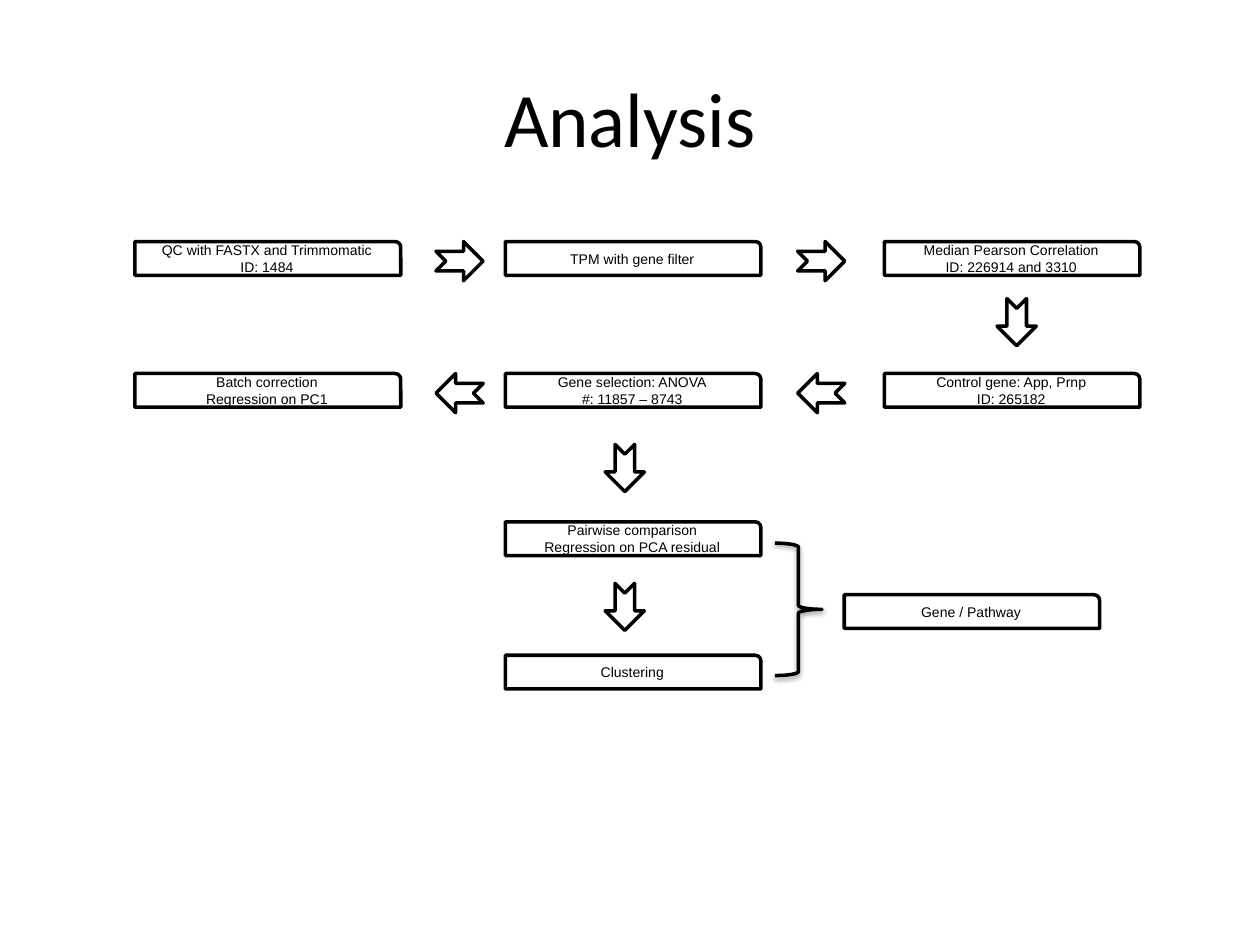
from dataclasses import dataclass

from lxml import etree
from pptx import Presentation
from pptx.dml.color import RGBColor
from pptx.enum.shapes import MSO_SHAPE
from pptx.enum.text import MSO_ANCHOR, PP_ALIGN
from pptx.oxml.ns import qn
from pptx.util import Cm, Pt

BOX = MSO_SHAPE.ROUND_1_RECTANGLE
ARROW = MSO_SHAPE.NOTCHED_RIGHT_ARROW
BRACE = MSO_SHAPE.RIGHT_BRACE
CENTER = PP_ALIGN.CENTER
MIDDLE = MSO_ANCHOR.MIDDLE

COLORS = {"ink": "000000", "paper": "FFFFFF"}

# Grid in centimetres: left edges of columns, top edges of rows
COLS = (2.72, 10.19, 17.83)
ROWS = (4.87, 7.53, 10.52, 13.21)
GAPS = (8.79, 16.08)
WIDE, SLIM, HIGH = 5.36, 5.15, 0.68
LONG, THICK = 0.95, 0.79
RIGHT, DOWN, LEFT = 0, 90, 180


@dataclass
class Step:
    text: str
    x: float
    y: float
    w: float = SLIM


@dataclass
class Arrow:
    x: float
    y: float
    turn: int


STEPS = [
    Step("QC with FASTX and Trimmomatic\nID: 1484", COLS[0], ROWS[0], WIDE),
    Step("TPM with gene filter", COLS[1], ROWS[0]),
    Step("Median Pearson Correlation\nID: 226914 and 3310", COLS[2], ROWS[0]),
    Step("Control gene: App, Prnp\nID: 265182", COLS[2], ROWS[1]),
    Step("Gene selection: ANOVA\n#: 11857 – 8743", COLS[1], ROWS[1]),
    Step("Batch correction\nRegression on PC1", COLS[0], ROWS[1], WIDE),
    Step("Pairwise comparison\nRegression on PCA residual", COLS[1], ROWS[2]),
    Step("Clustering", COLS[1], ROWS[3]),
    Step("Gene / Pathway", 17.02, 11.99),
]

ARROWS = [Arrow(x, ROWS[0], RIGHT) for x in GAPS]
ARROWS += [Arrow(x, ROWS[1], LEFT) for x in GAPS]
ARROWS += [Arrow(x, y, DOWN) for x, y in ((20.02, 6.1), (12.12, 9.04), (12.12, 11.84))]


def color(name: str) -> RGBColor:
    return RGBColor.from_string(COLORS[name])


def write(shape, text: str, *, size: float, font: str, ink: str = "ink") -> None:
    """Fill a shape with centred text, one paragraph per line."""
    frame = shape.text_frame
    frame.word_wrap = True
    frame.vertical_anchor = MIDDLE
    frame.text = text
    for para in frame.paragraphs:
        para.alignment = CENTER
        for run in para.runs:
            run.font.size = Pt(size)
            run.font.name = font
            run.font.color.rgb = color(ink)


def draw(slide, kind, x: float, y: float, w: float, h: float, fill: bool = True):
    """Add an outlined shape without a shadow."""
    shape = slide.shapes.add_shape(kind, Cm(x), Cm(y), Cm(w), Cm(h))
    shape.shadow.inherit = False
    shape.line.color.rgb = color("ink")
    shape.line.width = Pt(2)
    if fill:
        shape.fill.solid()
        shape.fill.fore_color.rgb = color("paper")
    else:
        shape.fill.background()
    return shape


def draw_step(slide, step: Step) -> None:
    box = draw(slide, BOX, step.x, step.y, step.w, HIGH)
    box.text_frame.margin_top = box.text_frame.margin_bottom = 0
    write(box, step.text, size=8, font="Arial")


def draw_arrow(slide, arrow: Arrow) -> None:
    draw(slide, ARROW, arrow.x, arrow.y, LONG, THICK).rotation = arrow.turn


def add_shadow(shape) -> None:
    """Cast a soft shadow straight down."""
    effects = shape.element.spPr.find(qn("a:effectLst"))
    shade = etree.SubElement(effects, qn("a:outerShdw"), blurRad=str(Pt(3.1)),
                             dist=str(Pt(1.6)), dir="5400000", rotWithShape="0")
    tone = etree.SubElement(shade, qn("a:srgbClr"), val=COLORS["ink"])
    etree.SubElement(tone, qn("a:alpha"), val="38000")


def main() -> None:
    deck = Presentation()
    deck.slide_width, deck.slide_height = Cm(25.4), Cm(19.05)
    slide = deck.slides.add_slide(deck.slide_layouts[5])

    # Title
    title = slide.shapes.title
    title.left, title.top = Cm(1.27), Cm(0.76)
    title.width, title.height = Cm(22.86), Cm(3.18)
    write(title, "Analysis", size=44, font="Calibri")

    # Flow of steps
    for step in STEPS:
        draw_step(slide, step)
    for arrow in ARROWS:
        draw_arrow(slide, arrow)

    # Brace that joins the last two steps
    add_shadow(draw(slide, BRACE, 15.62, 10.95, LONG, 2.67, fill=False))

    deck.save("out.pptx")


if __name__ == "__main__":
    main()
